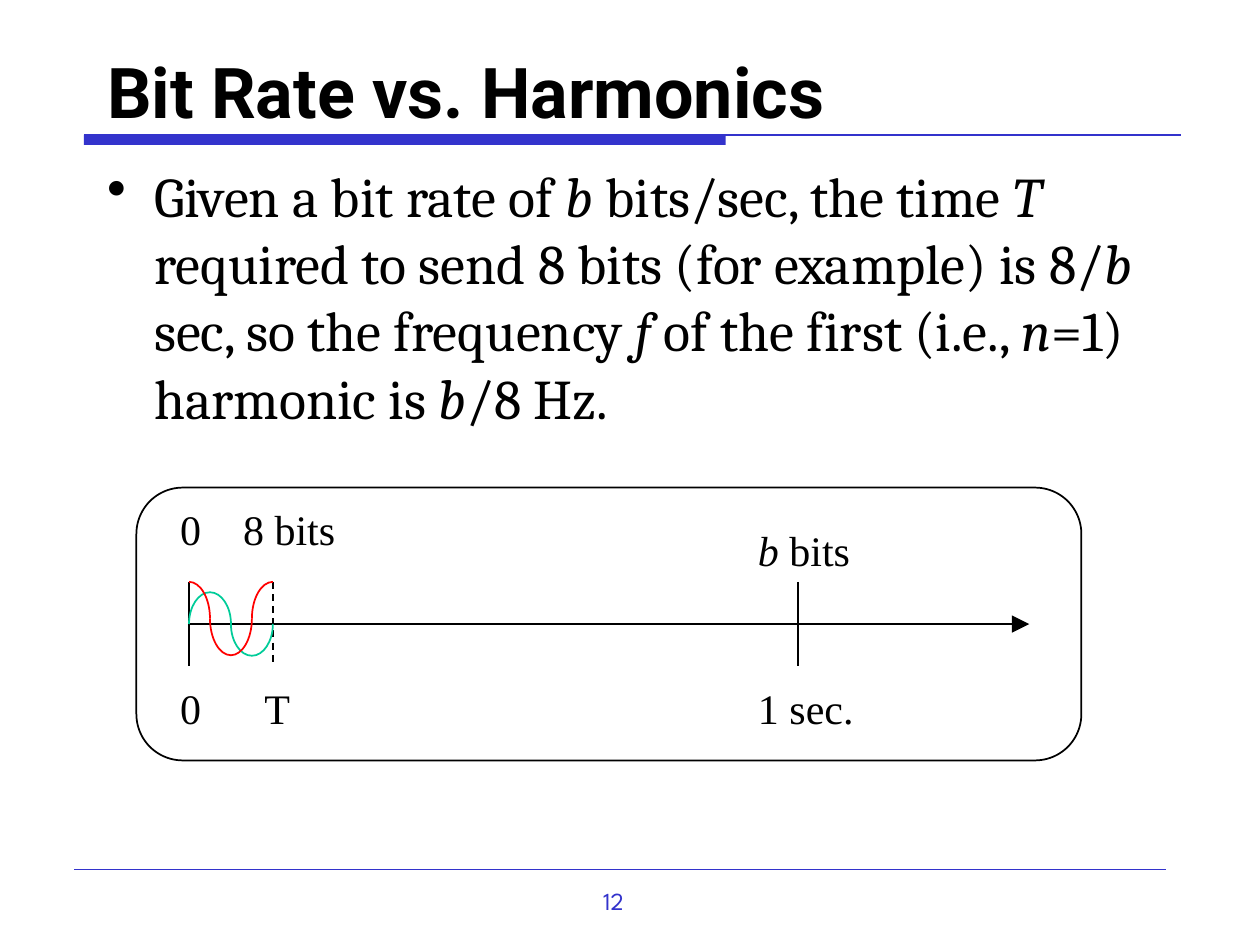
from dataclasses import dataclass

from lxml import etree
from pptx import Presentation
from pptx.dml.color import RGBColor
from pptx.enum.dml import MSO_LINE
from pptx.enum.shapes import MSO_CONNECTOR, MSO_SHAPE
from pptx.enum.text import MSO_ANCHOR, MSO_AUTO_SIZE
from pptx.oxml.ns import qn
from pptx.util import Cm, Pt

STRAIGHT = MSO_CONNECTOR.STRAIGHT
RECTANGLE = MSO_SHAPE.RECTANGLE
ROUNDED = MSO_SHAPE.ROUNDED_RECTANGLE
DASH = MSO_LINE.DASH
MIDDLE = MSO_ANCHOR.MIDDLE
TOP = MSO_ANCHOR.TOP
FIT_SHAPE = MSO_AUTO_SIZE.SHAPE_TO_FIT_TEXT
FIT_NONE = MSO_AUTO_SIZE.NONE

BLACK, WHITE, BLUE, GREEN, RED = "000000", "FFFFFF", "3333CC", "00CC99", "FF0000"

AXIS_LEFT, AXIS_RIGHT, AXIS_Y = 3.81, 20.75, 12.58
PERIOD = 1.69
QUARTER = PERIOD / 4
TICK_TOP, TICK_BOTTOM = 11.73, 13.42
SECOND_X = 16.09
UPPER_Y, LOWER_Y = 10.03, 13.64
ROUNDNESS = 0.55

BODY = (
    "Given a bit rate of *b* bits/sec, the time *T* required to send 8 bits "
    "(for example) is 8/*b* sec, so the frequency *f* of the first "
    "(i.e., *n*=1) harmonic is *b*/8 Hz."
)


@dataclass
class Label:
    text: str
    left: float
    top: float
    width: float


@dataclass
class Wave:
    color: str
    center_y: float
    amplitude: float
    troughs_and_crests: list[tuple[int, int, int]]


LABELS = [
    Label("0", 3.38, LOWER_Y, 0.94),
    Label("1 sec.", 15.03, LOWER_Y, 2.44),
    Label("0", 3.38, UPPER_Y, 0.94),
    Label("*b* bits", 15.03, 10.45, 2.36),
    Label("8 bits", 4.65, UPPER_Y, 2.36),
    Label("T", 5.08, LOWER_Y, 1.02),
]

WAVES = [
    Wave(GREEN, AXIS_Y, 0.64, [(3, 4, 1), (3, 2, 1), (1, 2, -1), (1, 0, -1)]),
    Wave(RED, 12.47, 0.74, [(2, 3, 1), (2, 1, 1), (0, 1, -1), (4, 3, -1)]),
]


def rgb(color: str) -> RGBColor:
    return RGBColor.from_string(color)


def add_line(slide, start: tuple[float, float], end: tuple[float, float],
             color: str = BLACK, width: float = 1, dashed: bool = False,
             arrow: bool = False) -> None:
    connector = slide.shapes.add_connector(
        STRAIGHT, *(Cm(value) for value in (*start, *end)))
    connector.line.color.rgb = rgb(color)
    connector.line.width = Pt(width)
    if dashed:
        connector.line.dash_style = DASH
    if arrow:
        etree.SubElement(connector.line._get_or_add_ln(), qn("a:tailEnd"),
                         type="triangle", w="lg", len="lg")
    etree.SubElement(connector._element.spPr, qn("a:effectLst"))


def format_shape(shape, fill: str | None = None, line: str | None = None) -> None:
    shape.shadow.inherit = False
    if fill:
        shape.fill.solid()
        shape.fill.fore_color.rgb = rgb(fill)
    else:
        shape.fill.background()
    if line:
        shape.line.color.rgb = rgb(line)
        shape.line.width = Pt(1)
    else:
        shape.line.fill.background()


def add_shape(slide, kind, left: float, top: float, width: float, height: float,
              fill: str | None = None, line: str | None = None):
    shape = slide.shapes.add_shape(kind, Cm(left), Cm(top), Cm(width), Cm(height))
    format_shape(shape, fill, line)
    return shape


def add_text(slide, text: str, left: float, top: float, width: float, height: float,
             *, font: str, size: float, color: str = BLACK, bold: bool = False,
             wrap: bool = True, grow: bool = False, anchor=TOP, bullet: str = "") -> None:
    box = slide.shapes.add_textbox(Cm(left), Cm(top), Cm(width), Cm(height))
    frame = box.text_frame
    frame.word_wrap = wrap
    frame.auto_size = FIT_SHAPE if grow else FIT_NONE
    frame.vertical_anchor = anchor
    paragraph = frame.paragraphs[0]
    if bullet:
        properties = paragraph._p.get_or_add_pPr()
        properties.set("marL", str(Cm(0.95)))
        properties.set("indent", str(-Cm(0.95)))
        etree.SubElement(properties, qn("a:buFontTx"))
        etree.SubElement(properties, qn("a:buChar"), char=bullet)
    for index, part in enumerate(text.split("*")):
        if part:
            run = paragraph.add_run()
            run.text = part
            run.font.name = font
            run.font.size = Pt(size)
            run.font.bold = bold
            run.font.italic = index % 2 == 1
            run.font.color.rgb = rgb(color)


def add_quarter(shapes, apex: tuple[float, float], side: tuple[float, float],
                color: str) -> None:
    start, end = ((Cm(x), Cm(y)) for x, y in (apex, side))
    builder = shapes.build_freeform(*start)
    builder.add_line_segments([end], close=False)
    shape = builder.convert_to_shape()
    format_shape(shape, line=color)
    controls = [
        (start[0] + ROUNDNESS * (end[0] - start[0]), start[1]),
        (end[0], end[1] + ROUNDNESS * (start[1] - end[1])),
    ]
    curve = next(shape._element.iter(qn("a:lnTo")))
    curve.tag = qn("a:cubicBezTo")
    for index, (x, y) in enumerate(controls):
        point = etree.Element(qn("a:pt"), x=str(round(x - shape.left)),
                              y=str(round(y - shape.top)))
        curve.insert(index, point)


def add_wave(slide, wave: Wave) -> None:
    group = slide.shapes.add_group_shape()
    for apex_step, side_step, direction in wave.troughs_and_crests:
        apex = (AXIS_LEFT + apex_step * QUARTER,
                wave.center_y + direction * wave.amplitude)
        side = (AXIS_LEFT + side_step * QUARTER, wave.center_y)
        add_quarter(group.shapes, apex, side, wave.color)


def main() -> None:
    presentation = Presentation()
    presentation.slide_width = Cm(25.4)
    presentation.slide_height = Cm(19.05)
    slide = presentation.slides.add_slide(presentation.slide_layouts[6])

    add_shape(slide, RECTANGLE, 1.69, 2.72, 12.94, 0.2, fill=BLUE)
    add_line(slide, (1.69, 2.72), (23.8, 2.72), color=BLUE, width=0.75)
    add_line(slide, (1.5, 17.52), (23.51, 17.52), color=BLUE, width=0.25)
    add_text(slide, "12", 11.91, 17.73, 2.21, 0.84,
             font="League Spartan", size=14, color=BLUE, grow=True)

    panel = add_shape(slide, ROUNDED, 2.75, 9.83, 19.05, 5.5, fill=WHITE, line=BLACK)
    panel.adjustments[0] = 0.17
    add_text(slide, "Bit Rate vs. Harmonics", 1.91, 0.93, 21.59, 1.8,
             font="Roboto", size=40, bold=True, anchor=MIDDLE)
    add_text(slide, BODY, 1.91, 3.13, 21.59, 7.47,
             font="Cambria", size=32, bullet="•")

    add_line(slide, (AXIS_LEFT, AXIS_Y), (AXIS_RIGHT, AXIS_Y), arrow=True)
    for x in (AXIS_LEFT, SECOND_X, AXIS_LEFT + PERIOD):
        add_line(slide, (x, TICK_TOP), (x, TICK_BOTTOM),
                 dashed=x == AXIS_LEFT + PERIOD)
    for label in LABELS:
        add_text(slide, label.text, label.left, label.top, label.width, 1.27,
                 font="Times New Roman", size=24, wrap=False, grow=True)
    for wave in WAVES:
        add_wave(slide, wave)

    presentation.save("out.pptx")


if __name__ == "__main__":
    main()
